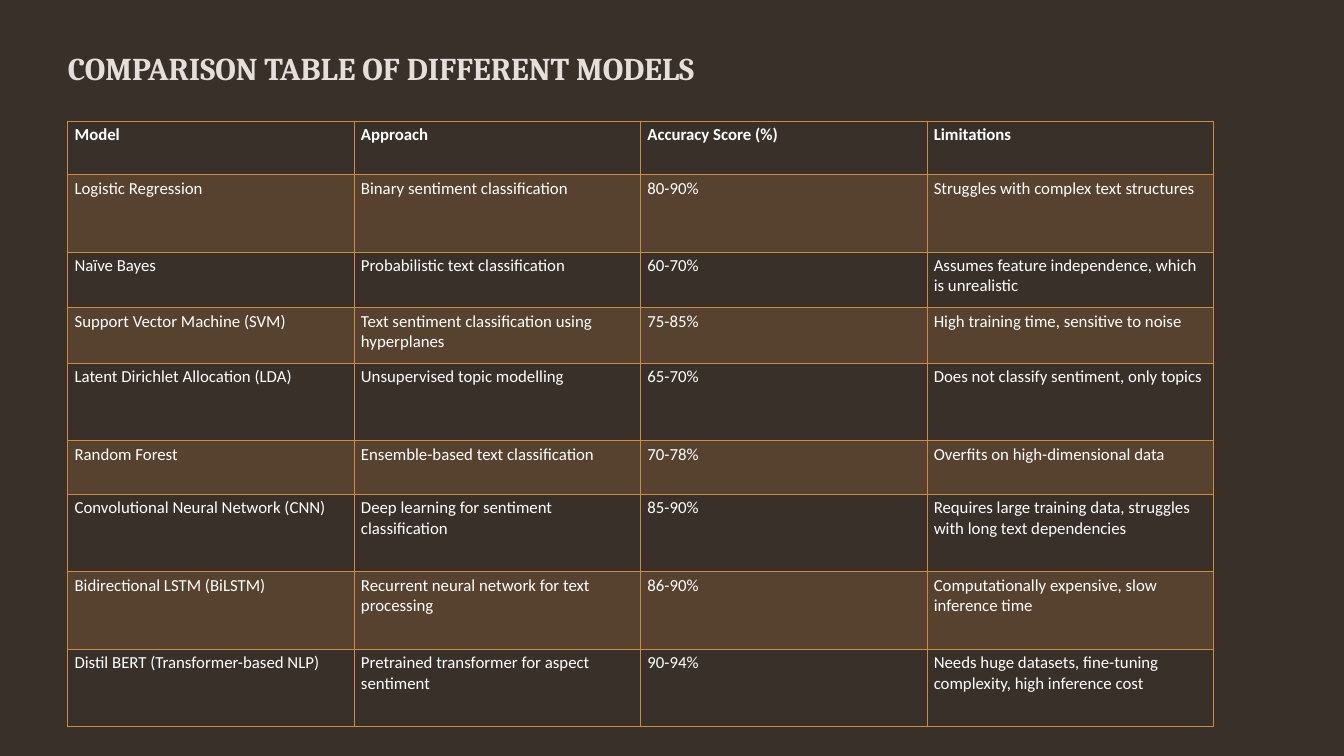
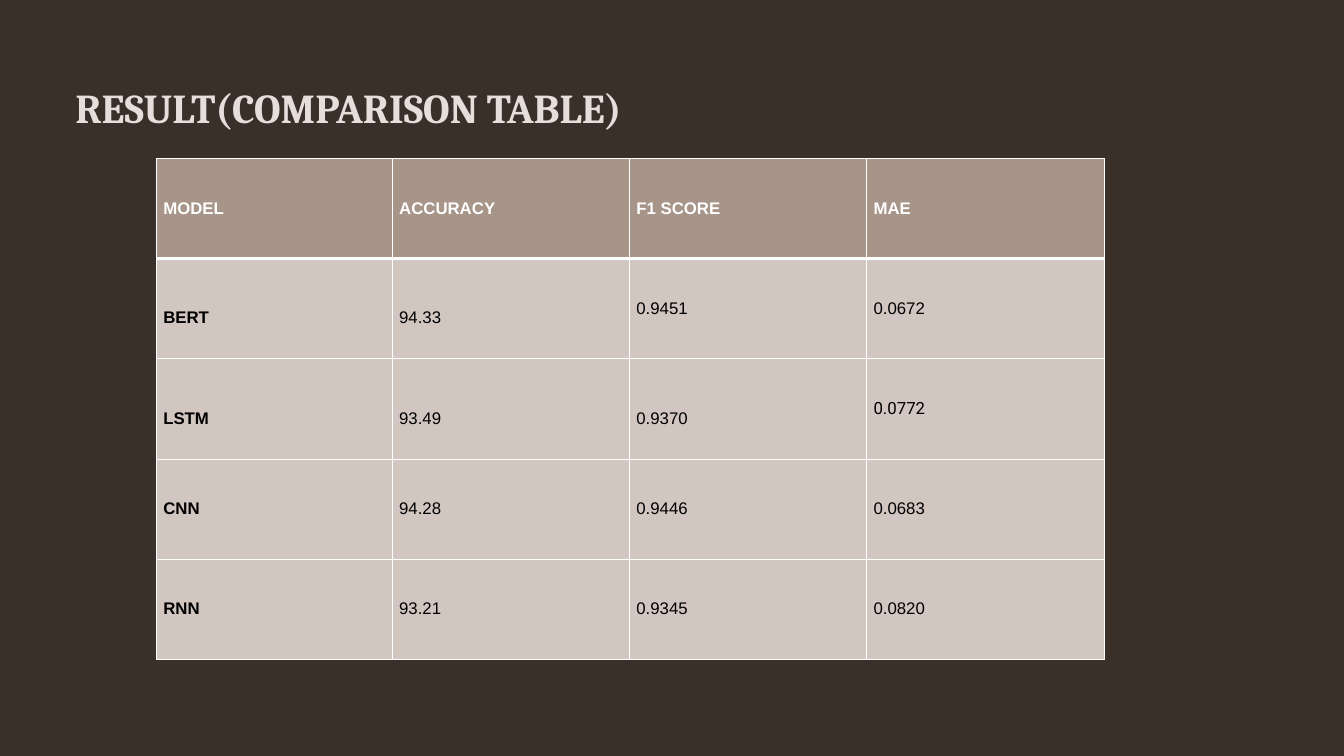
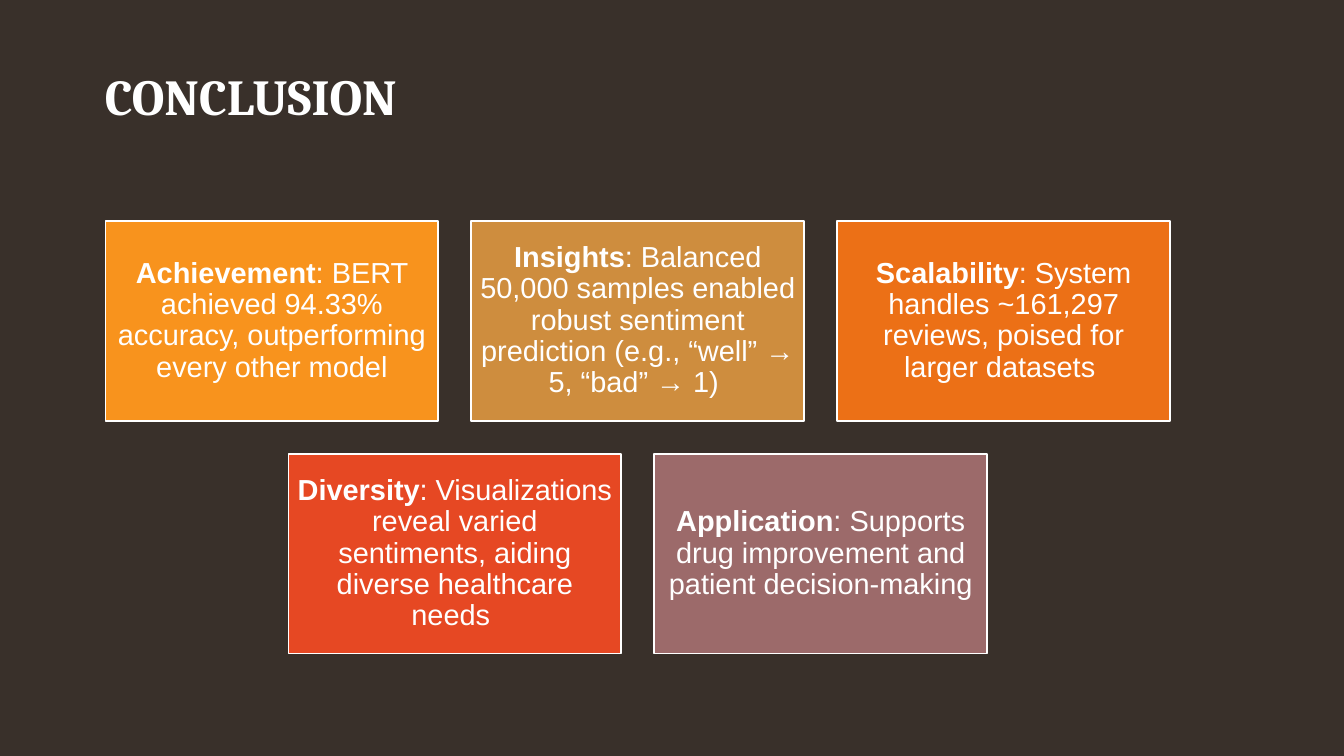
from pptx import Presentation
from pptx import util as u
from pptx.dml.color import RGBColor
from pptx.enum import shapes, text
from pptx.oxml import ns
from lxml import etree

DARK = RGBColor(0x39, 0x30, 0x2A)
PALE = RGBColor(0xE5, 0xDE, 0xDB)
WHITE = RGBColor(0xFF, 0xFF, 0xFF)
BLACK = RGBColor(0, 0, 0)
GOLD = RGBColor(0xCE, 0x8D, 0x3E)
TAUPE = RGBColor(0xA8, 0x95, 0x89)
SAND = RGBColor(0xD2, 0xC6, 0xC1)
AMBER = RGBColor(0xF8, 0x93, 0x1D)
ORANGE = RGBColor(0xEC, 0x70, 0x16)
RED = RGBColor(0xE6, 0x48, 0x23)
MAUVE = RGBColor(0x9C, 0x6A, 0x6A)
UNIT = u.Inches(0.1)

deck = Presentation()
deck.slide_width = 200 * UNIT
deck.slide_height = int(112.5 * UNIT)
back = deck.slide_master.background.fill
back.solid()
back.fore_color.rgb = DARK


def start(words, box, size, color, space, inset, anchor):
    slide = deck.slides.add_slide(deck.slide_layouts[5])
    title = slide.shapes.title
    title.left, title.top, title.width, title.height = [int(n * UNIT) for n in box]
    frame = title.text_frame
    frame.text = words
    frame.word_wrap = True
    frame.auto_size = text.MSO_AUTO_SIZE.NONE
    frame.vertical_anchor = anchor
    frame.margin_left = frame.margin_right = int(inset * UNIT)
    frame.margin_top = frame.margin_bottom = int(inset * UNIT / 2)
    para = frame.paragraphs[0]
    para.alignment = text.PP_ALIGN.LEFT
    para.line_spacing = space
    para.font.name, para.font.size = "Cambria", u.Pt(size)
    para.font.bold, para.font.color.rgb = True, color
    return slide


def grid(slide, data, box, cols, rows, face, line, rule):
    area = [int(n * UNIT) for n in box]
    table = slide.shapes.add_table(len(rows), len(cols), *area).table
    for col, wide in zip(table.columns, cols):
        col.width = int(wide * UNIT)
    for r, (row, high) in enumerate(zip(table.rows, rows)):
        row.height = int(high * UNIT)
        for cell, words in zip(row.cells, data[r]):
            cell.text = words
            font = cell.text_frame.paragraphs[0].font
            font.name, font.size = face, u.Pt(18)
            font.bold, font.color.rgb = r == 0, WHITE
            props = cell._tc.get_or_add_tcPr()
            for n, side in enumerate(("lnL", "lnR", "lnT", "lnB")):
                thick = (r, side) in ((0, "lnB"), (1, "lnT"))
                edge = etree.Element(ns.qn("a:" + side), w=str(u.Pt(rule if thick else 1)))
                fill = etree.SubElement(edge, ns.qn("a:solidFill"))
                etree.SubElement(fill, ns.qn("a:srgbClr"), val=str(line))
                props.insert(n, edge)
    return table


models = [
    ("Model", "Approach", "Accuracy Score (%)", "Limitations"),
    ("Logistic Regression", "Binary sentiment classification", "80-90%",
     "Struggles with complex text structures"),
    ("Naïve Bayes", "Probabilistic text classification", "60-70%",
     "Assumes feature independence, which is unrealistic"),
    ("Support Vector Machine (SVM)", "Text sentiment classification using hyperplanes",
     "75-85%", "High training time, sensitive to noise"),
    ("Latent Dirichlet Allocation (LDA)", "Unsupervised topic modelling", "65-70%",
     "Does not classify sentiment, only topics"),
    ("Random Forest", "Ensemble-based text classification", "70-78%",
     "Overfits on high-dimensional data"),
    ("Convolutional Neural Network (CNN)", "Deep learning for sentiment classification",
     "85-90%", "Requires large training data, struggles with long text dependencies"),
    ("Bidirectional LSTM (BiLSTM)", "Recurrent neural network for text processing",
     "86-90%", "Computationally expensive, slow inference time"),
    ("Distil BERT (Transformer-based NLP)", "Pretrained transformer for aspect sentiment",
     "90-94%", "Needs huge datasets, fine-tuning complexity, high inference cost"),
]
slide = start("COMPARISON TABLE OF DIFFERENT MODELS", (10.1, 1.6, 135.8, 11.4),
              34, PALE, 2.0, 0, text.MSO_ANCHOR.TOP)
table = grid(slide, models, (10.1, 18, 170.5, 90), [42.62] * 4,
             [8, 11.5, 8.3, 8.3, 11.5, 8, 11.5, 11.5, 11.5], "Calibri", GOLD, 1)
for r, row in enumerate(table.rows):
    for cell in row.cells:
        if r % 2:
            cell.fill.solid()
            cell.fill.fore_color.rgb = GOLD
            tint = cell._tc.tcPr.find(ns.qn("a:solidFill"))[0]
            etree.SubElement(tint, ns.qn("a:alpha"), val="20000")
        else:
            cell.fill.background()

scores = [
    ("MODEL", "ACCURACY", "F1 SCORE", "MAE"),
    ("BERT", "94.33", "0.9451", "0.0672"),
    ("LSTM", "93.49", "0.9370", "0.0772"),
    ("CNN", "94.28", "0.9446", "0.0683"),
    ("RNN", "93.21", "0.9345", "0.0820"),
]
lowered = {(1, 0), (1, 1), (2, 0), (2, 1), (2, 2)}
slide = start("RESULT(COMPARISON TABLE)", (11.2, 4.9, 132.4, 14.8),
              44, PALE, 2.0, 0, text.MSO_ANCHOR.TOP)
table = grid(slide, scores, (23.3, 23.6, 141.1, 74.5), [35.1] + [35.3] * 3,
             [14.9] * 5, "Arial", WHITE, 3)
for r, row in enumerate(table.rows):
    for c, cell in enumerate(row.cells):
        cell.fill.solid()
        cell.fill.fore_color.rgb = SAND if r else TAUPE
        cell.vertical_anchor = text.MSO_ANCHOR.MIDDLE
        if (r, c) in lowered:
            cell.margin_top = int(3.3 * UNIT)
        if r:
            font = cell.text_frame.paragraphs[0].font
            font.bold, font.color.rgb = c == 0, BLACK
table.cell(2, 3).text_frame.paragraphs[0].font.name = "Roboto"

cards = [
    ("Achievement", ": BERT achieved 94.33% accuracy, outperforming every other model", AMBER),
    ("Insights", ": Balanced 50,000 samples enabled robust sentiment prediction "
     "(e.g., “well” → 5, “bad” → 1) ", GOLD),
    ("Scalability", ": System handles ~161,297 reviews, poised for larger datasets ", ORANGE),
    ("Diversity", ": Visualizations reveal varied sentiments, aiding diverse healthcare needs ", RED),
    ("Application", ": Supports drug improvement and patient decision-making", MAUVE),
]
slide = start("CONCLUSION", (14.6, -3.4, 103.3, 36.3),
              54, WHITE, 0.9, 1, text.MSO_ANCHOR.MIDDLE)
slide.shapes.title.text_frame.paragraphs[0].space_after = u.Pt(6)
wide, high, gap = 49.5, 29.7, 4.95
for n, (name, note, color) in enumerate(cards):
    r, c = divmod(n, 3)
    box = (15.7 + (c + r / 2) * (wide + gap), 32.9 + r * (high + gap), wide, high)
    card = slide.shapes.add_shape(shapes.MSO_SHAPE.RECTANGLE, *[int(v * UNIT) for v in box])
    card.shadow.inherit = False
    card.fill.solid()
    card.fill.fore_color.rgb = color
    card.line.color.rgb, card.line.width = WHITE, u.Pt(2)
    frame = card.text_frame
    frame.word_wrap = True
    frame.vertical_anchor = text.MSO_ANCHOR.MIDDLE
    frame.margin_left = frame.margin_right = int(1.3 * UNIT)
    frame.margin_top = frame.margin_bottom = int(1.3 * UNIT)
    para = frame.paragraphs[0]
    para.alignment, para.line_spacing = text.PP_ALIGN.CENTER, 0.9
    para.font.name, para.font.size = "Arial", u.Pt(31)
    para.font.color.rgb = WHITE
    for words, bold in ((name, True), (note, False)):
        run = para.add_run()
        run.text, run.font.bold = words, bold

deck.save("out.pptx")
